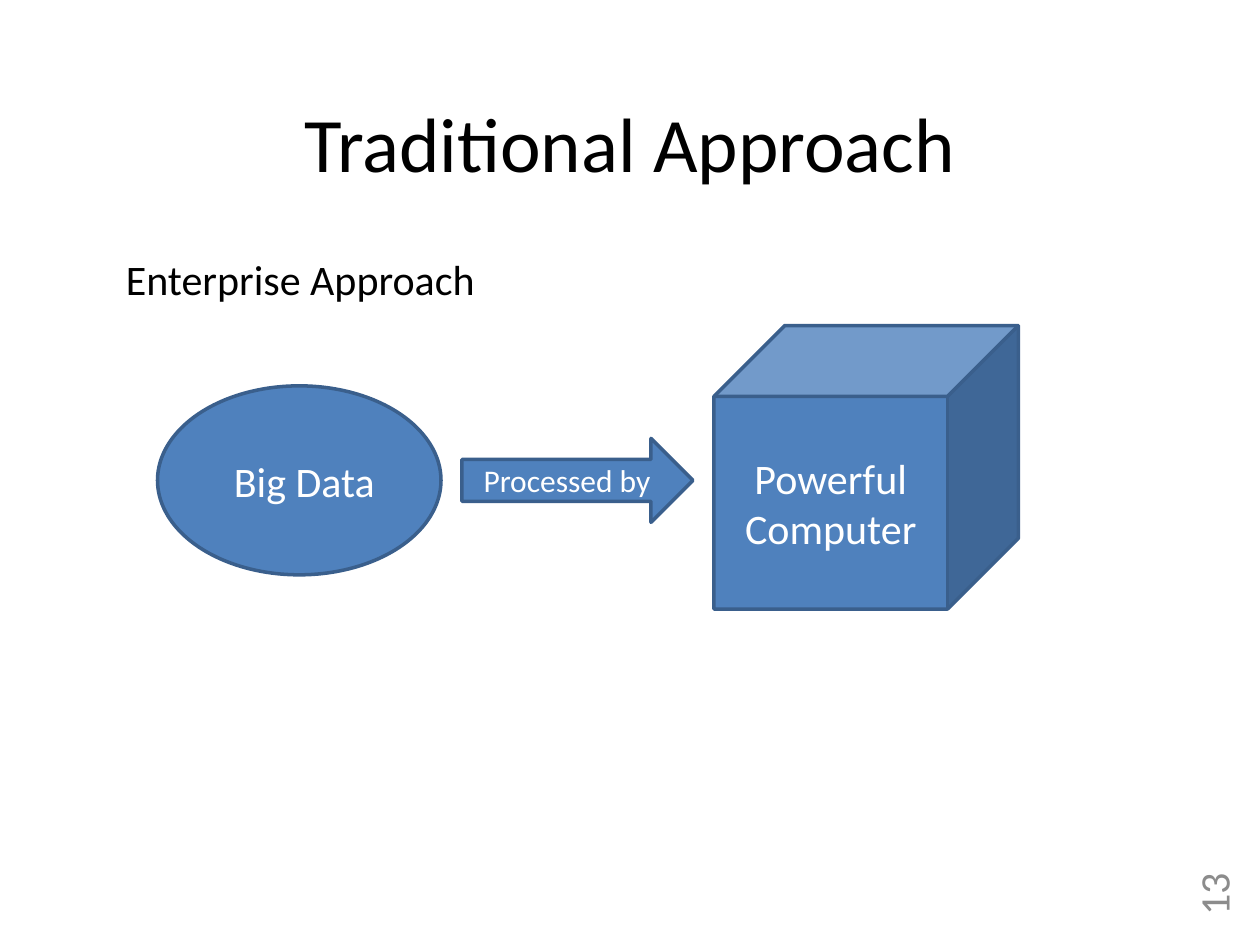
import pptx
import pptx.util
import pptx.dml.color
import pptx.enum.shapes
import pptx.enum.text

SLIDE_WIDTH, SLIDE_HEIGHT = 10, 7.5
COLUMNS, ROWS = 120, 90
FONT = "Calibri"
BLACK, WHITE, GREY = "000000", "FFFFFF", "8C8C8C"
BLUE, DARK_BLUE = "4F81BD", "3A5F8C"

SHAPES = pptx.enum.shapes.MSO_SHAPE
ALIGN = pptx.enum.text.PP_ALIGN


def color(hex_string):
    return pptx.dml.color.RGBColor.from_string(hex_string)


def cell(column, row, columns, rows):
    """Turn a place on the grid into left, top, width and height."""
    across, down = SLIDE_WIDTH / COLUMNS, SLIDE_HEIGHT / ROWS
    return [pptx.util.Inches(length) for length in
            (column * across, row * down, columns * across, rows * down)]


def write(holder, text, size=24, ink=BLACK, align=ALIGN.CENTER, left_inset=0.1):
    frame = holder.text_frame
    frame.word_wrap = True
    frame.vertical_anchor = pptx.enum.text.MSO_ANCHOR.MIDDLE
    frame.margin_left = pptx.util.Inches(left_inset)
    paragraph = frame.paragraphs[0]
    paragraph.alignment = align
    run = paragraph.add_run()
    run.text = text
    run.font.name = FONT
    run.font.size = pptx.util.Pt(size)
    run.font.color.rgb = color(ink)


def add_label(slide, place, text, rotation=0, **style):
    label = slide.shapes.add_textbox(*cell(*place))
    label.rotation = rotation
    write(label, text, **style)


def add_step(slide, kind, place, text, **style):
    step = slide.shapes.add_shape(kind, *cell(*place))
    step.shadow.inherit = False
    step.fill.solid()
    step.fill.fore_color.rgb = color(BLUE)
    step.line.color.rgb = color(DARK_BLUE)
    step.line.width = pptx.util.Pt(2)
    write(step, text, ink=WHITE, **style)


def main():
    deck = pptx.Presentation()
    deck.slide_width = pptx.util.Inches(SLIDE_WIDTH)
    deck.slide_height = pptx.util.Inches(SLIDE_HEIGHT)
    slide = deck.slides.add_slide(deck.slide_layouts[6])

    # Headings
    add_label(slide, (6, 6, 108, 15), "Traditional Approach", size=44)
    add_label(slide, (5.6, 22, 46, 9), "Enterprise Approach")

    # Flow from the data to the computer, with data and arrow on one axis
    axis = 45.75
    add_step(slide, SHAPES.OVAL, (15, axis - 9, 27, 18), "Big Data",
             left_inset=0.18)
    add_step(slide, SHAPES.CUBE, (68, 31, 29, 27), "Powerful Computer")
    add_step(slide, SHAPES.RIGHT_ARROW, (44, axis - 4, 22, 8), "Processed by",
             size=18)

    # Page number, turned to read upwards
    add_label(slide, (111.5, 83.5, 8, 5), "13", rotation=270, ink=GREY,
              align=ALIGN.RIGHT)

    deck.save("out.pptx")


if __name__ == "__main__":
    main()
